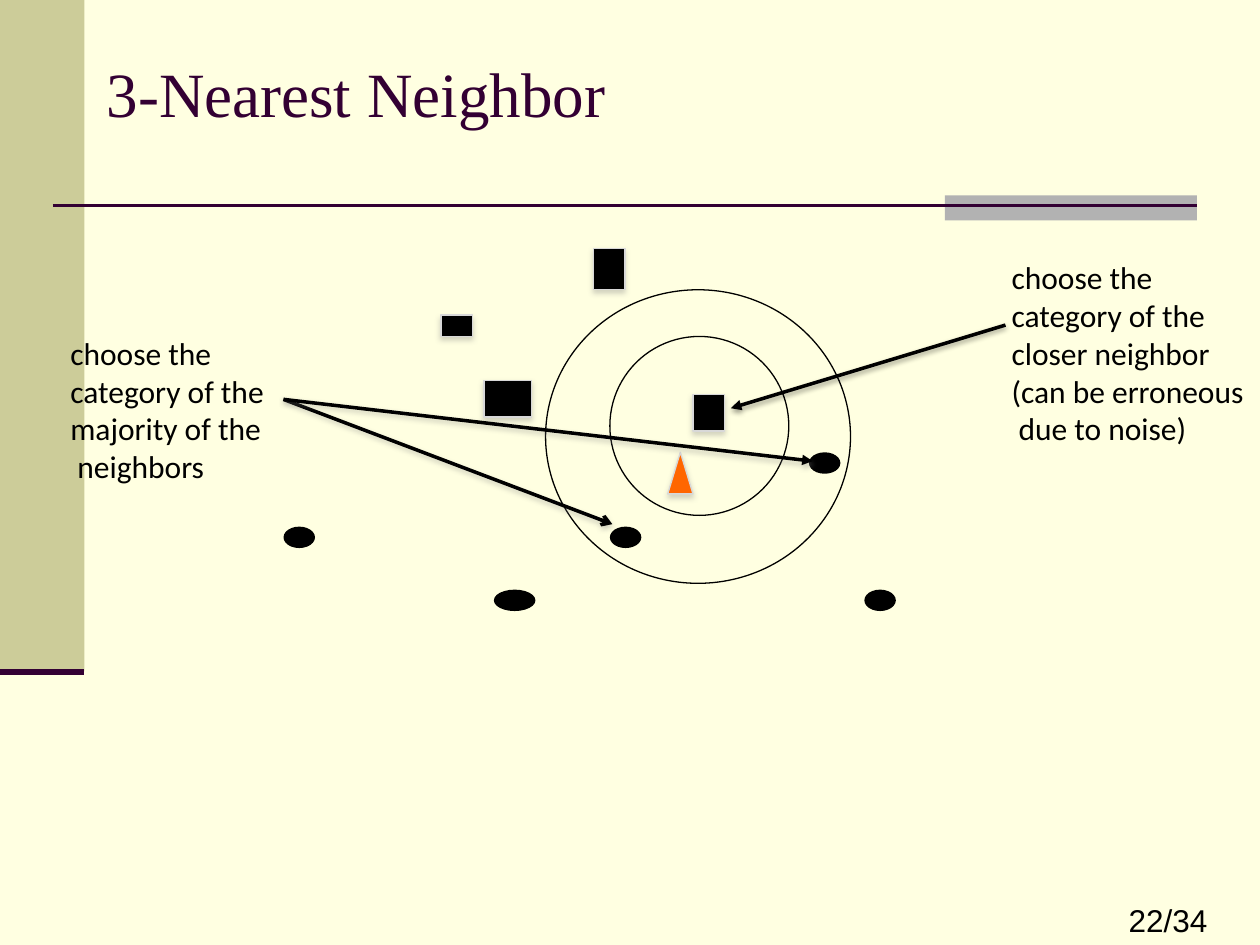
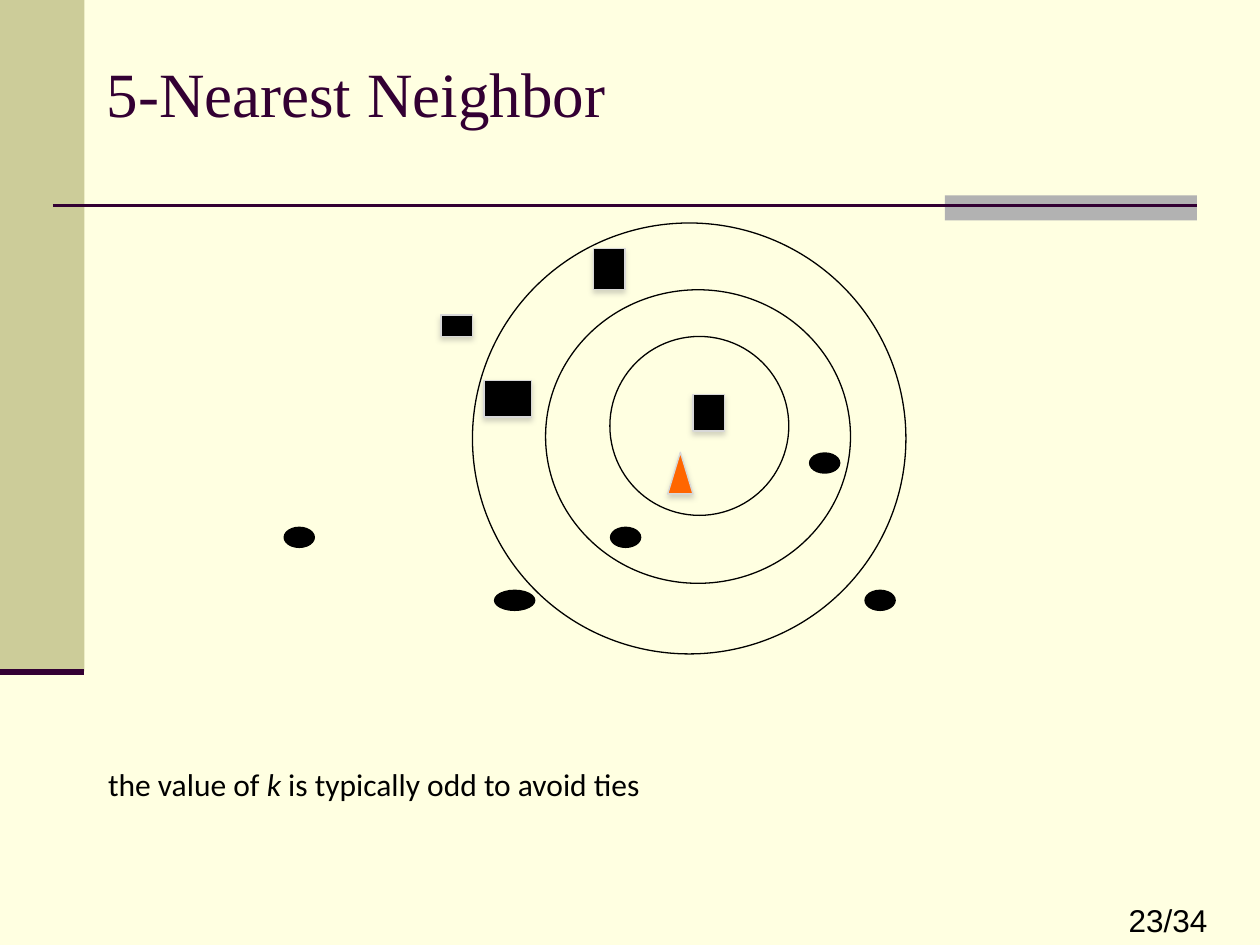
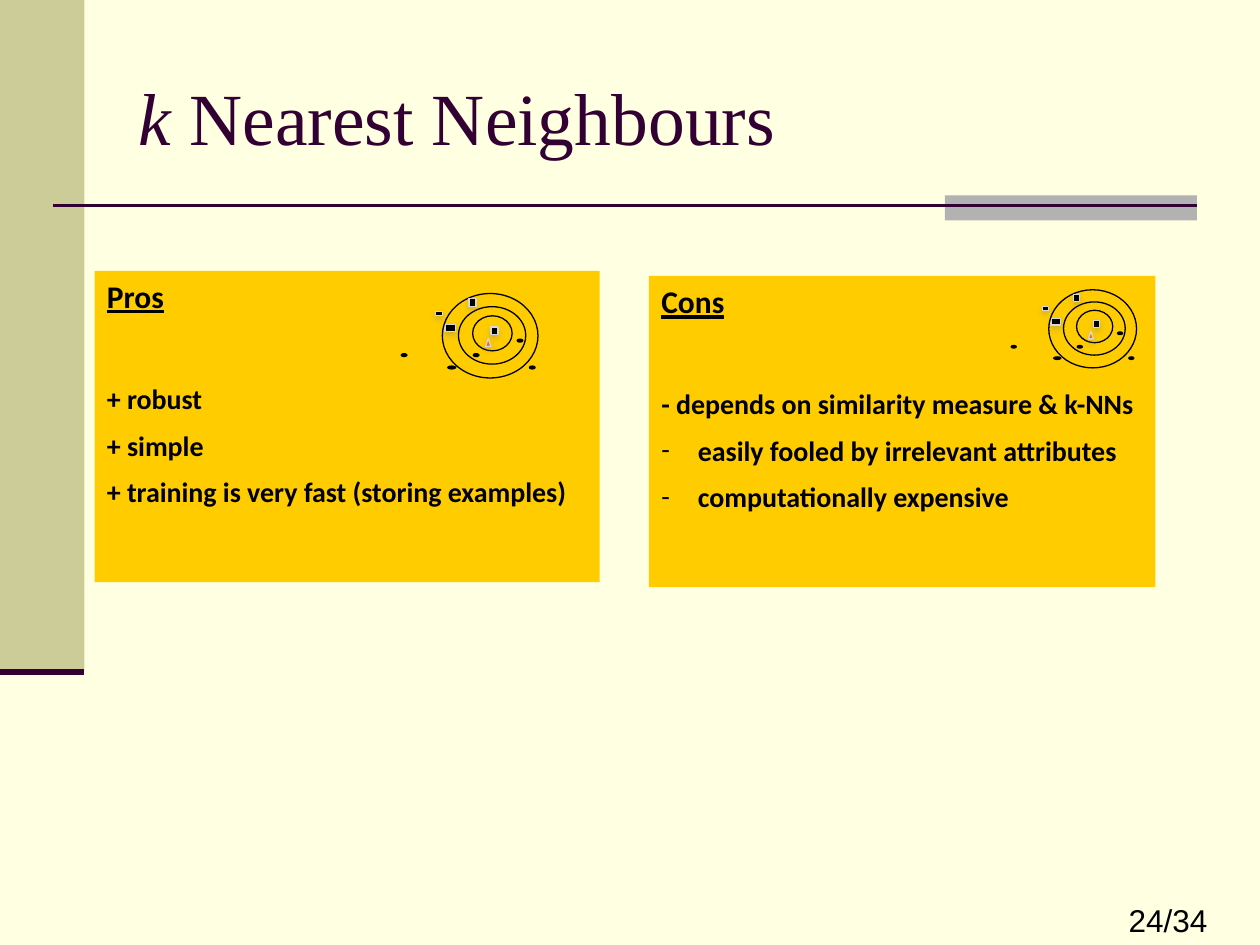
"""Build three slides about the k-nearest-neighbour classifier."""
import dataclasses
import typing

import pptx
import pptx.dml.color
import pptx.enum.shapes
import pptx.enum.text
import pptx.oxml
import pptx.oxml.ns
import pptx.util

Inches = pptx.util.Inches
Pt = pptx.util.Pt
Preset = pptx.enum.shapes.MSO_SHAPE

PAPER, OLIVE, GREY, PLUM = "FFFFE1", "CCCC99", "B2B2B2", "330033"
BLACK, ORANGE, YELLOW = "000000", "FF6600", "FFCC00"
PALE_EDGE, SHADOW = "D8D8D8", "808080"
BODY_FONT, TITLE_FONT, NUMBER_FONT = "Calibri", "Times New Roman", "Arial"
PAGE_COUNT = 34


class Box(typing.NamedTuple):
    """A rectangle in inches."""
    left: float
    top: float
    width: float
    height: float


class Run(typing.NamedTuple):
    """A stretch of text with one style."""
    text: str
    size: float = 18
    font: str = BODY_FONT
    color: str = BLACK
    bold: bool = False
    italic: bool = False
    underline: bool = False


@dataclasses.dataclass(frozen=True)
class Line:
    """One paragraph, with its spacing in points."""
    runs: tuple[Run, ...]
    space_before: float = 0
    dashed: bool = False


@dataclasses.dataclass(frozen=True)
class Mark:
    """One example or circle of the neighbour diagram."""
    preset: Preset
    box: Box
    fill: str | None = BLACK
    edge: str | None = None
    shadowed: bool = False


@dataclasses.dataclass(frozen=True)
class Arrow:
    """A callout arrow that points at its end."""
    start: tuple[float, float]
    end: tuple[float, float]
    head: str
    shadow: str


@dataclasses.dataclass(frozen=True)
class Panel:
    """A yellow list of arguments with a small diagram."""
    box: Box
    heading: str
    points: tuple[str, ...]
    dashed_from: int
    diagram: Box


def dot(left: float, top: float, width: float = 0.25) -> Mark:
    """Return an example of the round category."""
    return Mark(Preset.OVAL, Box(left, top, width, 0.17))


def square(left: float, top: float, width: float, height: float) -> Mark:
    """Return an example of the square category."""
    return Mark(Preset.RECTANGLE, Box(left, top, width, height), BLACK, PALE_EDGE, True)


def circle(left: float, top: float, width: float, height: float) -> Mark:
    """Return a neighbourhood circle."""
    return Mark(Preset.OVAL, Box(left, top, width, height), None, BLACK)


OUTER_CIRCLE = circle(3.75, 1.77, 3.44, 3.42)
DIAGRAM = (
    circle(4.84, 2.67, 1.42, 1.42),
    dot(3.92, 4.68, 0.33),
    dot(6.42, 3.59),
    dot(2.25, 4.18),
    square(3.5, 2.5, 0.25, 0.17),
    square(5.5, 3.13, 0.25, 0.29),
    square(3.84, 3.02, 0.38, 0.29),
    Mark(Preset.ISOSCELES_TRIANGLE, Box(5.3, 3.59, 0.2, 0.33), ORANGE, PALE_EDGE, True),
    circle(4.33, 2.3, 2.42, 2.33),
    dot(4.84, 4.18),
    dot(6.86, 4.68),
    OUTER_CIRCLE,
    square(4.71, 1.97, 0.25, 0.33),
)
DIAGRAM_FRAME = Box(2.25, 1.77, 4.94, 3.42)

ARROWS = (
    Arrow((7.98, 2.58), (5.8, 3.24), "triangle", BLACK),
    Arrow((2.25, 3.17), (4.86, 4.16), "arrow", SHADOW),
    Arrow((2.25, 3.17), (6.45, 3.66), "triangle", SHADOW),
)
CALLOUTS = (
    (Box(7.93, 2, 2.07, 1.62),
     ("choose the", "category of the", "closer neighbor", "(can be erroneous", " due to noise)")),
    (Box(0.46, 2.6, 1.75, 1.31),
     ("choose the", "category of the", "majority of the", " neighbors")),
)
PANELS = (
    Panel(Box(0.75, 2.15, 4.01, 2.47), "Pros",
          ("+ robust", "+ simple", "+ training is very fast (storing examples)"),
          3, Box(3.18, 2.33, 1.09, 0.67)),
    Panel(Box(5.15, 2.19, 4.02, 2.47), "Cons",
          ("- depends on similarity measure & k-NNs", "easily fooled by irrelevant attributes",
           "computationally expensive"),
          1, Box(8.02, 2.3, 1, 0.62)),
)


def rgb(color: str) -> pptx.dml.color.RGBColor:
    """Turn a hex string into a colour."""
    return pptx.dml.color.RGBColor.from_string(color)


def element(xml: str) -> typing.Any:
    """Parse a DrawingML fragment whose root takes the namespace."""
    name, rest = xml[1:].split(" ", 1)
    return pptx.oxml.parse_xml(f"<{name} {pptx.oxml.ns.nsdecls('a')} {rest}")


def effects(color: str | None, alpha: int = 35, distance: float = 1.8) -> typing.Any:
    """Return an effect list that holds a downward shadow or nothing."""
    if color is None:
        return element("<a:effectLst />")
    return element(
        f'<a:effectLst ><a:outerShdw blurRad="{Pt(3.1)}" dist="{Pt(distance)}" dir="5400000"'
        f' rotWithShape="0"><a:srgbClr val="{color}"><a:alpha val="{alpha * 1000}"/>'
        '</a:srgbClr></a:outerShdw></a:effectLst>')


def add_mark(slide: typing.Any, mark: Mark) -> typing.Any:
    """Draw a preset shape."""
    shape = slide.shapes.add_shape(mark.preset, *map(Inches, mark.box))
    if mark.fill:
        shape.fill.solid()
        shape.fill.fore_color.rgb = rgb(mark.fill)
    else:
        shape.fill.background()
    if mark.edge:
        shape.line.color.rgb = rgb(mark.edge)
        shape.line.width = Pt(0.75)
    else:
        shape.line.fill.background()
    shape.element.spPr.append(effects(SHADOW if mark.shadowed else None))
    return shape


def add_line(slide: typing.Any, start: tuple[float, float], end: tuple[float, float],
             color: str, width: float) -> typing.Any:
    """Draw a straight line."""
    connector = slide.shapes.add_connector(
        pptx.enum.shapes.MSO_CONNECTOR.STRAIGHT, *map(Inches, (*start, *end)))
    connector.line.color.rgb = rgb(color)
    connector.line.width = Pt(width)
    return connector


def add_rule(slide: typing.Any, start: tuple[float, float], end: tuple[float, float],
             width: float) -> None:
    """Draw a plain rule in the title colour."""
    add_line(slide, start, end, PLUM, width).element.spPr.append(effects(None))


def add_arrow(slide: typing.Any, arrow: Arrow) -> None:
    """Draw a shadowed callout arrow."""
    connector = add_line(slide, arrow.start, arrow.end, BLACK, 2)
    connector.line._get_or_add_ln().append(element(f'<a:tailEnd type="{arrow.head}"/>'))
    connector.element.spPr.append(effects(arrow.shadow, 38, 1.6))


def write(text_frame: typing.Any, lines: typing.Iterable[Line]) -> None:
    """Fill a text frame run by run."""
    for index, line in enumerate(lines):
        paragraph = text_frame.add_paragraph() if index else text_frame.paragraphs[0]
        paragraph.alignment = pptx.enum.text.PP_ALIGN.LEFT
        paragraph.space_before = Pt(line.space_before)
        if line.dashed:
            properties = paragraph._p.get_or_add_pPr()
            properties.set("marL", str(Inches(0.29)))
            properties.set("indent", str(-Inches(0.29)))
            properties.append(element(f'<a:buFont typeface="{BODY_FONT}"/>'))
            properties.append(element('<a:buChar char="-"/>'))
        for piece in line.runs:
            run = paragraph.add_run()
            run.text = piece.text
            run.font.size = Pt(piece.size)
            run.font.name = piece.font
            run.font.color.rgb = rgb(piece.color)
            run.font.bold = piece.bold
            run.font.italic = piece.italic
            run.font.underline = piece.underline


def add_text(slide: typing.Any, box: Box, lines: typing.Iterable[Line], wrap: bool = True,
             anchor: typing.Any = pptx.enum.text.MSO_ANCHOR.TOP) -> None:
    """Add a text box."""
    text_frame = slide.shapes.add_textbox(*map(Inches, box)).text_frame
    text_frame.word_wrap = wrap
    text_frame.vertical_anchor = anchor
    write(text_frame, lines)


def add_slide(presentation: typing.Any, number: int, title_box: Box,
              title: tuple[Run, ...]) -> typing.Any:
    """Add a slide with the shared bands, rules, page number and title."""
    slide = presentation.slides.add_slide(presentation.slide_layouts[6])
    slide.background.fill.solid()
    slide.background.fill.fore_color.rgb = rgb(PAPER)
    add_mark(slide, Mark(Preset.RECTANGLE, Box(0, 0, 0.67, 5.33), OLIVE))
    add_mark(slide, Mark(Preset.RECTANGLE, Box(7.5, 1.55, 2, 0.2), GREY))
    add_rule(slide, (0.42, 1.63), (9.5, 1.63), 1.5)
    add_rule(slide, (0, 5.33), (0.67, 5.33), 3.5)
    add_text(slide, Box(8.86, 7.1, 1.14, 0.4),
             [Line((Run(f"{number}/{PAGE_COUNT}", font=NUMBER_FONT),))])
    add_text(slide, title_box, [Line(title)], anchor=pptx.enum.text.MSO_ANCHOR.MIDDLE)
    return slide


def add_neighbor_slide(presentation: typing.Any, number: int, count: int) -> typing.Any:
    """Add a slide titled with the number of neighbours."""
    title = Run(f"{count}-Nearest Neighbor", 36, TITLE_FONT, PLUM)
    return add_slide(presentation, number, Box(0.75, 0.4, 8.5, 0.66), (title,))


def add_diagram(slide: typing.Any, marks: typing.Iterable[Mark],
                frame: Box = DIAGRAM_FRAME) -> None:
    """Draw the neighbour diagram scaled into a frame."""
    across = frame.width / DIAGRAM_FRAME.width
    down = frame.height / DIAGRAM_FRAME.height
    for mark in marks:
        box = Box(frame.left + (mark.box.left - DIAGRAM_FRAME.left) * across,
                  frame.top + (mark.box.top - DIAGRAM_FRAME.top) * down,
                  mark.box.width * across, mark.box.height * down)
        add_mark(slide, dataclasses.replace(mark, box=box))


def add_panel(slide: typing.Any, panel: Panel) -> None:
    """Draw a panel with its heading and points."""
    shape = add_mark(slide, Mark(Preset.RECTANGLE, panel.box, YELLOW))
    shape.text_frame.word_wrap = True
    shape.text_frame.vertical_anchor = pptx.enum.text.MSO_ANCHOR.TOP
    lines = [Line((Run(panel.heading, bold=True, underline=True),))]
    for index, point in enumerate(panel.points):
        lines.append(Line((Run(point, 16, bold=True),), 7.5 if index else 38,
                          index >= panel.dashed_from))
    write(shape.text_frame, lines)


def main() -> None:
    """Build and save the presentation."""
    presentation = pptx.Presentation()
    presentation.slide_width, presentation.slide_height = Inches(10), Inches(7.5)

    slide = add_neighbor_slide(presentation, 22, 3)
    add_diagram(slide, (mark for mark in DIAGRAM if mark is not OUTER_CIRCLE))
    for arrow in ARROWS:
        add_arrow(slide, arrow)
    for box, texts in CALLOUTS:
        add_text(slide, box, [Line((Run(text),)) for text in texts], wrap=False)

    slide = add_neighbor_slide(presentation, 23, 5)
    add_diagram(slide, DIAGRAM)
    add_text(slide, Box(0.76, 6.02, 4.75, 0.4), [Line((
        Run("the value of"), Run(" k", italic=True), Run(" is typically odd to avoid ties")))])

    slide = add_slide(presentation, 24, Box(1, 0.3, 8.5, 1.25), (
        Run("k", 42, TITLE_FONT, PLUM, italic=True),
        Run(" Nearest Neighbours", 42, TITLE_FONT, PLUM)))
    for panel in PANELS:
        add_panel(slide, panel)
    for panel in PANELS:
        add_diagram(slide, DIAGRAM, panel.diagram)

    presentation.save("out.pptx")


if __name__ == "__main__":
    main()
